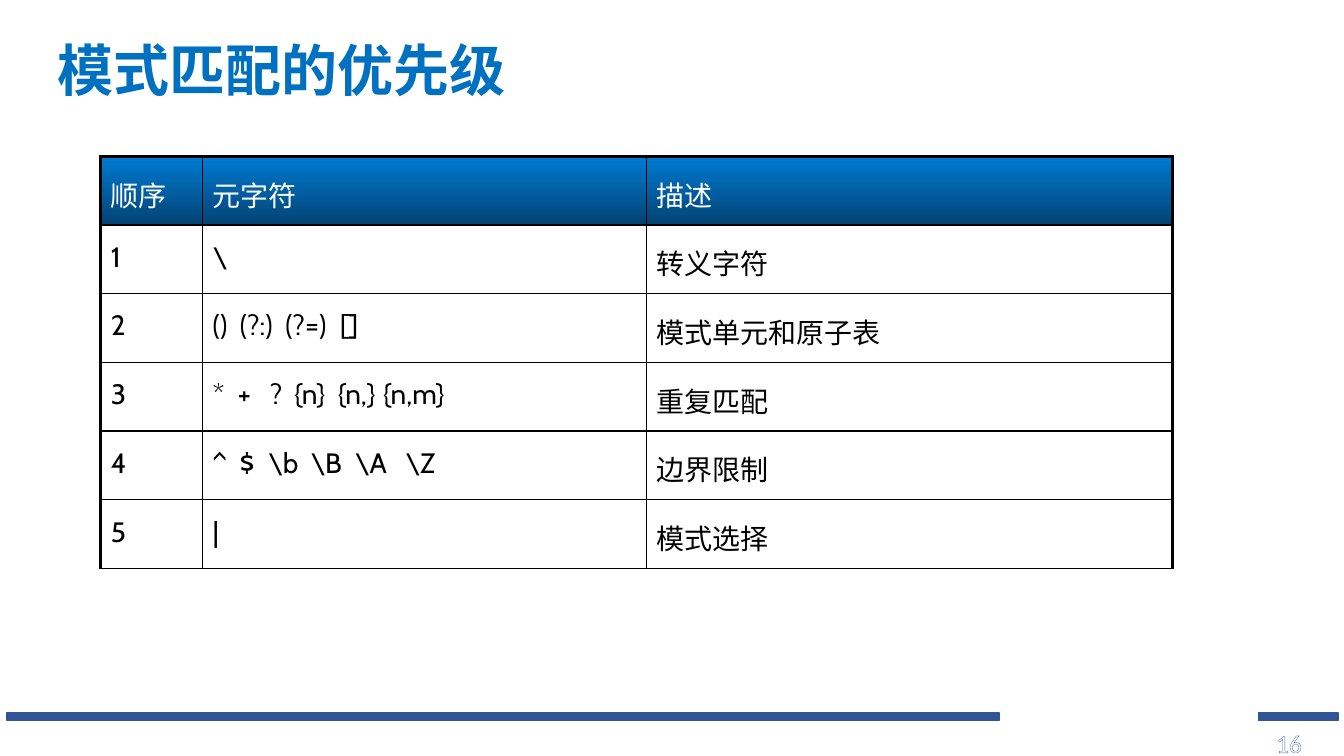
from lxml import etree
from pptx import Presentation
from pptx.dml.color import RGBColor
from pptx.enum.dml import MSO_PATTERN
from pptx.enum.shapes import MSO_SHAPE
from pptx.enum.text import MSO_ANCHOR, PP_ALIGN
from pptx.oxml.ns import qn
from pptx.util import Inches, Pt

TITLE_BLUE = RGBColor(0x00, 0x70, 0xC0)
BAR_BLUE = RGBColor(0x2F, 0x55, 0x97)
HEADER_TOP = RGBColor(0x00, 0x7B, 0xD3)
HEADER_BOTTOM = RGBColor(0x03, 0x43, 0x73)
NUMBER_BLUE = RGBColor(0x8F, 0xAA, 0xDC)
OUTLINE_BLUE = RGBColor(0x44, 0x72, 0xC4)
BLACK = RGBColor(0x00, 0x00, 0x00)
WHITE = RGBColor(0xFF, 0xFF, 0xFF)

CHINESE_FONT = "Noto Sans CJK SC"
COLUMN_WIDTHS = [1.01, 4.4, 5.22]
ROWS = [
    ("顺序", "元字符", "描述"),
    ("1", "\\", "转义字符"),
    ("2", "()\t(?:)\t(?=)\t[]", "模式单元和原子表"),
    ("3", "*\t+\t?\t{n}\t{n,}\t{n,m}", "重复匹配"),
    ("4", "^\t$\t\\b\t\\B\t\\A\t\\Z", "边界限制"),
    ("5", "|", "模式选择"),
]
# Tab stops of the metacharacter lists, by row, in inches
TAB_STOPS = {
    2: [0.27, 0.72, 1.26],
    3: [0.25, 0.57, 0.81, 1.24, 1.69],
    4: [0.27, 0.55, 0.97, 1.41, 1.91],
}


def add_run(paragraph, text, size, font_name, color=None, bold=False):
    run = paragraph.add_run()
    run.text = text
    run.font.size = Pt(size)
    run.font.bold = bold
    if color is not None:
        run.font.color.rgb = color
    run.font.name = font_name
    east_asian = etree.Element(qn("a:ea"), typeface=CHINESE_FONT)
    run.font._element.find(qn("a:latin")).addnext(east_asian)
    return run


def make_line(tag, color, width):
    line = etree.Element(qn(tag), w=str(Pt(width)))
    fill = etree.SubElement(line, qn("a:solidFill"))
    etree.SubElement(fill, qn("a:srgbClr"), val=str(color))
    return line


def set_borders(cell, widths):
    properties = cell._tc.get_or_add_tcPr()
    for index, (side, width) in enumerate(zip("LRTB", widths)):
        properties.insert(index, make_line(f"a:ln{side}", BLACK, width))


def set_tab_stops(paragraph, stops):
    tab_list = etree.SubElement(paragraph._p.get_or_add_pPr(), qn("a:tabLst"))
    for stop in stops:
        etree.SubElement(tab_list, qn("a:tab"), pos=str(Inches(stop)), algn="l")


def fill_header(cell):
    cell.fill.gradient()
    cell.fill.gradient_angle = 270
    stops = cell.fill.gradient_stops
    for stop, position, color in zip(stops, (0, 1), (HEADER_TOP, HEADER_BOTTOM)):
        stop.position = position
        stop.color.rgb = color


def add_title(slide, left, top, width, height):
    title = slide.shapes.title
    title.left, title.top = Inches(left), Inches(top)
    title.width, title.height = Inches(width), Inches(height)
    title.text_frame.vertical_anchor = MSO_ANCHOR.MIDDLE
    paragraph = title.text_frame.paragraphs[0]
    paragraph.alignment = PP_ALIGN.LEFT
    paragraph.line_spacing = 0.9
    add_run(paragraph, "模式匹配的优先级", 40, CHINESE_FONT, TITLE_BLUE, bold=True)


def add_priority_table(slide, left, top, width, height):
    frame = slide.shapes.add_table(
        len(ROWS), len(COLUMN_WIDTHS),
        Inches(left), Inches(top), Inches(width), Inches(height))
    table = frame.table
    table.horz_banding = False
    for column, column_width in zip(table.columns, COLUMN_WIDTHS):
        column.width = Inches(column_width)

    last_column = len(COLUMN_WIDTHS) - 1
    for row_index, texts in enumerate(ROWS):
        is_header = row_index == 0
        for column_index, text in enumerate(texts):
            cell = table.cell(row_index, column_index)
            if is_header:
                fill_header(cell)
            else:
                cell.fill.background()
            set_borders(cell, (
                2.25 if column_index == 0 else 1,
                2.25 if column_index == last_column else 1,
                2.25 if is_header else 1,
                1))
            paragraph = cell.text_frame.paragraphs[0]
            paragraph.line_spacing = 1.3
            if column_index == 1 and row_index in TAB_STOPS:
                set_tab_stops(paragraph, TAB_STOPS[row_index])
            add_run(paragraph, text, 20, "Cabin", WHITE if is_header else BLACK)


def add_footer(slide, left, top, width):
    # Two bars, flush with the ends of the footer
    bar_widths = (9.84, 0.79)
    bar_lefts = (left, left + width - bar_widths[1])
    for bar_left, bar_width in zip(bar_lefts, bar_widths):
        bar = slide.shapes.add_shape(
            MSO_SHAPE.RECTANGLE, Inches(bar_left), Inches(top),
            Inches(bar_width), Inches(0.08))
        bar.shadow.inherit = False
        bar.fill.solid()
        bar.fill.fore_color.rgb = BAR_BLUE
        bar.line.color.rgb = BAR_BLUE
        bar.line.width = Pt(1)

    # Hatched and outlined page number
    number_width = 0.71
    box = slide.shapes.add_textbox(
        Inches(left + width - number_width), Inches(top + 0.1),
        Inches(number_width), Inches(0.4))
    box.text_frame.word_wrap = True
    run = add_run(box.text_frame.paragraphs[0], "16", 18, "Calibri")
    run.font.fill.patterned()
    run.font.fill.pattern = MSO_PATTERN.LIGHT_DOWNWARD_DIAGONAL
    run.font.fill.fore_color.rgb = NUMBER_BLUE
    run.font.fill.back_color.rgb = WHITE
    run.font._element.insert(0, make_line("a:ln", OUTLINE_BLUE, 1))


def main():
    presentation = Presentation()
    presentation.slide_width = Inches(13.33)
    presentation.slide_height = Inches(7.5)
    slide = presentation.slides.add_slide(presentation.slide_layouts[5])
    add_footer(slide, 0.07, 7.07, 13.2)
    add_title(slide, 0.47, 0.29, 9, 0.87)
    add_priority_table(slide, 1, 1.55, sum(COLUMN_WIDTHS), 4.09)
    presentation.save("out.pptx")


if __name__ == "__main__":
    main()
